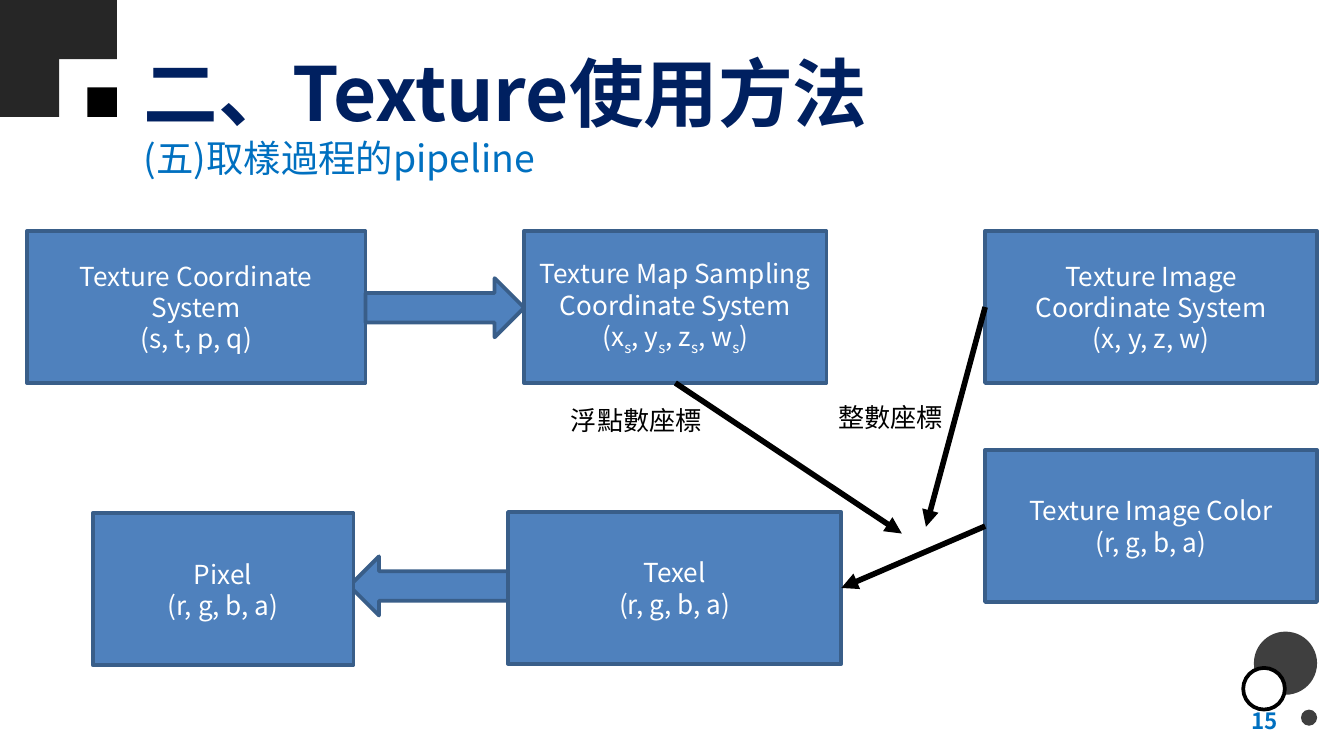
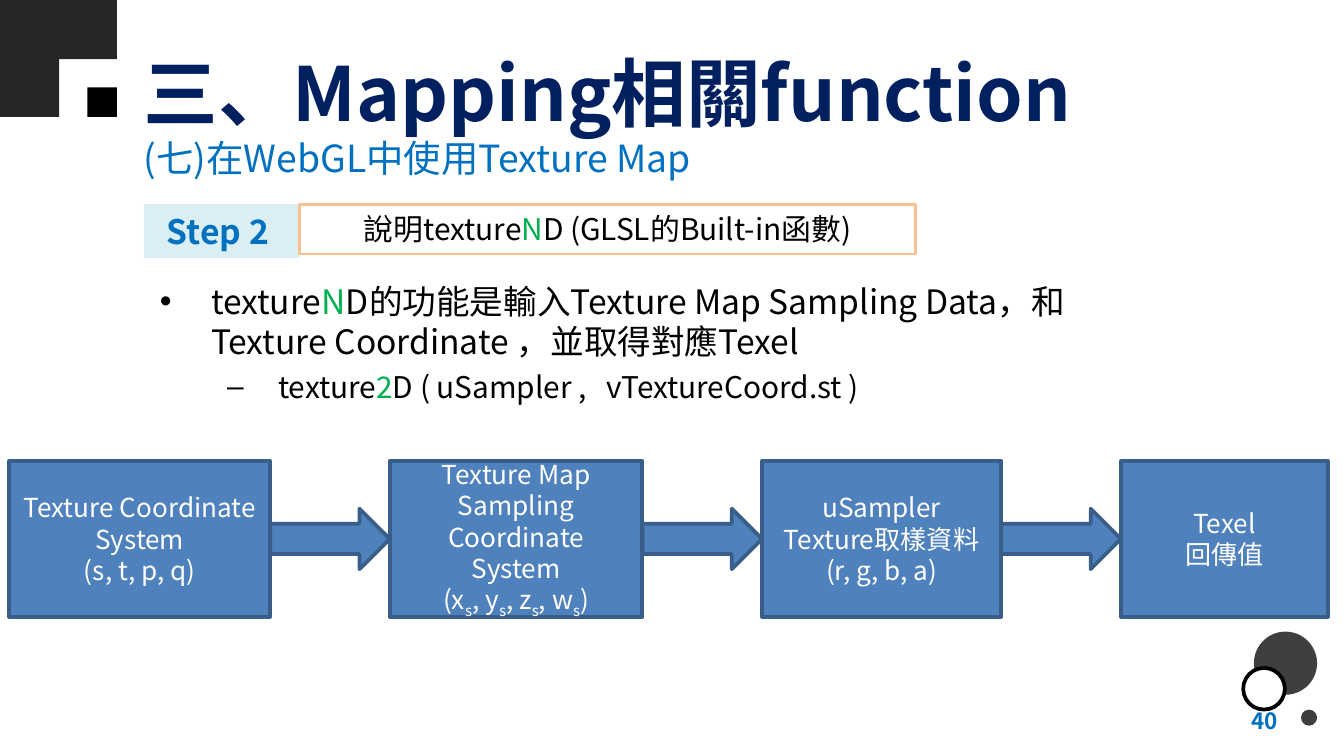
import pptx
import pptx.dml.color
import pptx.enum.shapes
import pptx.enum.text
import pptx.oxml
import pptx.oxml.ns
import pptx.util
from lxml import etree

Inches = pptx.util.Inches
Pt = pptx.util.Pt
SHAPES = pptx.enum.shapes.MSO_SHAPE
ALIGN = pptx.enum.text.PP_ALIGN
ANCHOR = pptx.enum.text.MSO_ANCHOR
AUTO_SIZE = pptx.enum.text.MSO_AUTO_SIZE

FONT = "Noto Sans CJK TC"
NAVY, BLUE, GREEN = "002060", "0070C0", "00B050"
BLACK, WHITE = "000000", "FFFFFF"
DARK, GRAY = "262626", "3F3F3F"
BOX_FILL, BOX_LINE = "4F81BD", "395E89"
STEP_FILL, STEP_LINE = "DAEEF3", "FABF8E"
TOP, LEFT, BOTTOM, RIGHT = range(4)

SUB = ("s", {"baseline": -25})
TEXTURE_COORDINATES = [["Texture Coordinate System"], ["(s, t, p, q)"]]
SAMPLING_COORDINATES = [
    ["Texture Map Sampling Coordinate System"],
    ["(x", SUB, ", y", SUB, ", z", SUB, ", w", SUB, ")"],
]
RGBA = ["(r, g, b, a)"]


def rgb(hex_color):
    return pptx.dml.color.RGBColor.from_string(hex_color)


def add_drawing_element(parent, tag, **attributes):
    element = etree.SubElement(parent, pptx.oxml.ns.qn(f"a:{tag}"))
    for name, value in attributes.items():
        element.set(name, str(value))
    return element


def add_run(paragraph, text, size, color, bold=False, baseline=0):
    run = paragraph.add_run()
    run.text = text
    run.font.size = Pt(size)
    run.font.bold = bold
    run.font.name = FONT
    run.font.color.rgb = rgb(color)
    properties = run.font._element
    add_drawing_element(properties, "ea", typeface=FONT)
    if baseline:
        properties.set("baseline", str(baseline * 1000))


def add_pieces(paragraph, pieces, size, color, bold=False):
    """Add one run per piece; a piece is a string or (string, style changes)."""
    for piece in pieces:
        text, changes = (piece, {}) if isinstance(piece, str) else piece
        add_run(paragraph, text, **{"size": size, "color": color, "bold": bold, **changes})


def write(shape, paragraphs, size, color, bold=False, align=ALIGN.LEFT, anchor=ANCHOR.TOP):
    frame = shape.text_frame
    frame.word_wrap = True
    frame.auto_size = AUTO_SIZE.NONE
    frame.vertical_anchor = anchor
    for index, pieces in enumerate(paragraphs):
        paragraph = frame.add_paragraph() if index else frame.paragraphs[0]
        paragraph.alignment = align
        add_pieces(paragraph, pieces, size, color, bold)


def place(shape, left, top, width, height):
    shape.left, shape.top = Inches(left), Inches(top)
    shape.width, shape.height = Inches(width), Inches(height)


def add_shape(slide, kind, at, fill=None, line=None, line_width=2):
    shape = slide.shapes.add_shape(kind, *map(Inches, at))
    shape.shadow.inherit = False
    if fill:
        shape.fill.solid()
        shape.fill.fore_color.rgb = rgb(fill)
    else:
        shape.fill.background()
    if line:
        shape.line.color.rgb = rgb(line)
        shape.line.width = Pt(line_width)
    else:
        shape.line.fill.background()
    return shape


def add_text(slide, at, text, size, color, **style):
    write(slide.shapes.add_textbox(*map(Inches, at)), [[text]], size, color, **style)


def add_box(slide, at, paragraphs):
    box = add_shape(slide, SHAPES.RECTANGLE, at, BOX_FILL, BOX_LINE)
    write(box, paragraphs, 14, WHITE, align=ALIGN.CENTER, anchor=ANCHOR.MIDDLE)
    return box


def add_block_arrow(slide, at, rotation=0):
    arrow = add_shape(slide, SHAPES.RIGHT_ARROW, at, BOX_FILL, BOX_LINE)
    arrow.rotation = rotation


def add_line_arrow(slide, start, end, source, source_side, target=None, target_side=None):
    connector = slide.shapes.add_connector(
        pptx.enum.shapes.MSO_CONNECTOR.STRAIGHT, *map(Inches, start + end))
    connector.begin_connect(source, source_side)
    if target is not None:
        connector.end_connect(target, target_side)
    connector.line.color.rgb = rgb(BLACK)
    connector.line.width = Pt(3)
    add_drawing_element(connector.line._get_or_add_ln(), "tailEnd", type="triangle")
    add_drawing_element(connector._element.spPr, "effectLst")


def add_decoration(slide):
    step, side = 0.43, 0.44  # the squares overlap slightly so that no seam shows
    for column, row in ((0, 0), (1, 0), (0, 1)):
        add_shape(slide, SHAPES.RECTANGLE, (column * step, row * step, side, side), DARK)
    add_shape(slide, SHAPES.RECTANGLE, (0.65, 0.65, 0.22, 0.22), BLACK)
    add_shape(slide, SHAPES.OVAL, (9.33, 4.7, 0.47, 0.47), GRAY)
    add_shape(slide, SHAPES.OVAL, (9.68, 5.28, 0.12, 0.12), GRAY)
    add_shape(slide, SHAPES.OVAL, (9.25, 4.97, 0.31, 0.31), WHITE, BLACK)


def start_slide(presentation, layout_name, title, subtitle, number):
    slide = presentation.slides.add_slide(
        presentation.slide_layouts.get_by_name(layout_name))
    add_decoration(slide)
    add_text(slide, (7.28, 5.21, 2.33, 0.3), number, 12, BLUE,
             bold=True, align=ALIGN.RIGHT, anchor=ANCHOR.MIDDLE)
    place(slide.shapes.title, 0.97, 0.21, 8.21, 0.94)
    write(slide.shapes.title, [[title]], 40, NAVY, bold=True, anchor=ANCHOR.MIDDLE)
    add_text(slide, (0.97, 0.96, 6.36, 0.44), subtitle, 20, BLUE)
    return slide


def add_step(slide, label, description):
    label_box = add_shape(slide, SHAPES.RECTANGLE, (1.07, 1.52, 1.16, 0.4), STEP_FILL)
    write(label_box, [[label]], 18, BLUE, bold=True, align=ALIGN.CENTER)
    description_box = add_shape(
        slide, SHAPES.RECTANGLE, (2.23, 1.52, 4.58, 0.37), None, STEP_LINE, 1.5)
    write(description_box, [description], 16, BLACK, align=ALIGN.CENTER)


def fill_bullets(body, items):
    """Write one bullet per item, each one level deeper than the one before."""
    place(body, 0.97, 2.04, 7.79, 1.33)
    frame = body.text_frame
    frame.auto_size = AUTO_SIZE.NONE
    for level, pieces in enumerate(items):
        paragraph = frame.add_paragraph() if level else frame.paragraphs[0]
        paragraph.level = level
        properties = paragraph._element.get_or_add_pPr()
        properties.set("marL", str(Inches(0.5 * (level + 1))))
        properties.set("indent", str(Inches(-0.38)))
        paragraph.space_before = Pt(3.6 if level else 0)
        add_pieces(paragraph, pieces, 18 - 2 * level, BLACK)


def add_flow(slide, left, top, height, gap, steps):
    """Lay boxes of the given widths in a row, with an arrow in every gap."""
    arrow_height = 0.45
    for index, (width, paragraphs) in enumerate(steps):
        if index:
            arrow_top = top + (height - arrow_height) / 2
            add_block_arrow(slide, (left - gap, arrow_top, gap, arrow_height))
        add_box(slide, (left, top, width, height), paragraphs)
        left += width + gap


def build_pipeline_slide(presentation):
    slide = start_slide(presentation, "Title Only", "二、Texture使用方法",
                        "(五)取樣過程的pipeline", "15")
    height = 1.13
    add_box(slide, (0.2, 1.72, 2.52, height), TEXTURE_COORDINATES)
    sampling = add_box(slide, (3.9, 1.72, 2.25, height), SAMPLING_COORDINATES)
    image = add_box(slide, (7.33, 1.72, 2.47, height),
                    [["Texture Image Coordinate System"], ["(x, y, z, w)"]])
    image_color = add_box(slide, (7.33, 3.35, 2.47, height), [["Texture Image Color"], RGBA])
    add_block_arrow(slide, (2.72, 2.07, 1.18, 0.44))
    add_line_arrow(slide, (5.02, 2.85), (6.71, 3.97), sampling, BOTTOM)
    add_line_arrow(slide, (7.33, 2.28), (6.89, 3.92), image, LEFT)
    texel = add_box(slide, (3.78, 3.81, 2.48, height), [["Texel"], RGBA])
    add_line_arrow(slide, (7.33, 3.92), (6.26, 4.38), image_color, LEFT, texel, RIGHT)
    add_text(slide, (4.15, 2.96, 1.36, 0.35), "浮點數座標", 14, BLACK)
    add_text(slide, (6.14, 2.94, 1.36, 0.35), "整數座標", 14, BLACK)
    add_block_arrow(slide, (2.6, 4.14, 1.18, 0.44), rotation=180)
    add_box(slide, (0.69, 3.82, 1.94, height), [["Pixel"], RGBA])


def build_function_slide(presentation):
    slide = start_slide(presentation, "Title and Content", "三、Mapping相關function",
                        "(七)在WebGL中使用Texture Map", "40")
    dimension = ("N", {"color": GREEN})
    add_step(slide, "Step 2 ", ["說明texture", dimension, "D (GLSL的Built-in函數)"])
    add_flow(slide, 0.07, 3.43, 1.16, 0.89, [
        (1.94, TEXTURE_COORDINATES),
        (1.88, SAMPLING_COORDINATES),
        (1.78, [["uSampler"], ["Texture取樣資料"], RGBA]),
        (1.54, [["Texel"], ["回傳值"]]),
    ])
    fill_bullets(slide.placeholders[1], [
        ["texture", dimension,
         "D的功能是輸入Texture Map Sampling Data，和Texture Coordinate ，並取得對應Texel"],
        ["texture", ("2", {"color": GREEN}), "D ( uSampler ,   vTextureCoord.st )"],
    ])


def main():
    presentation = pptx.Presentation()
    presentation.slide_width = Inches(10)
    presentation.slide_height = Inches(10) * 9 // 16
    build_pipeline_slide(presentation)
    build_function_slide(presentation)
    presentation.save("out.pptx")


if __name__ == "__main__":
    main()
